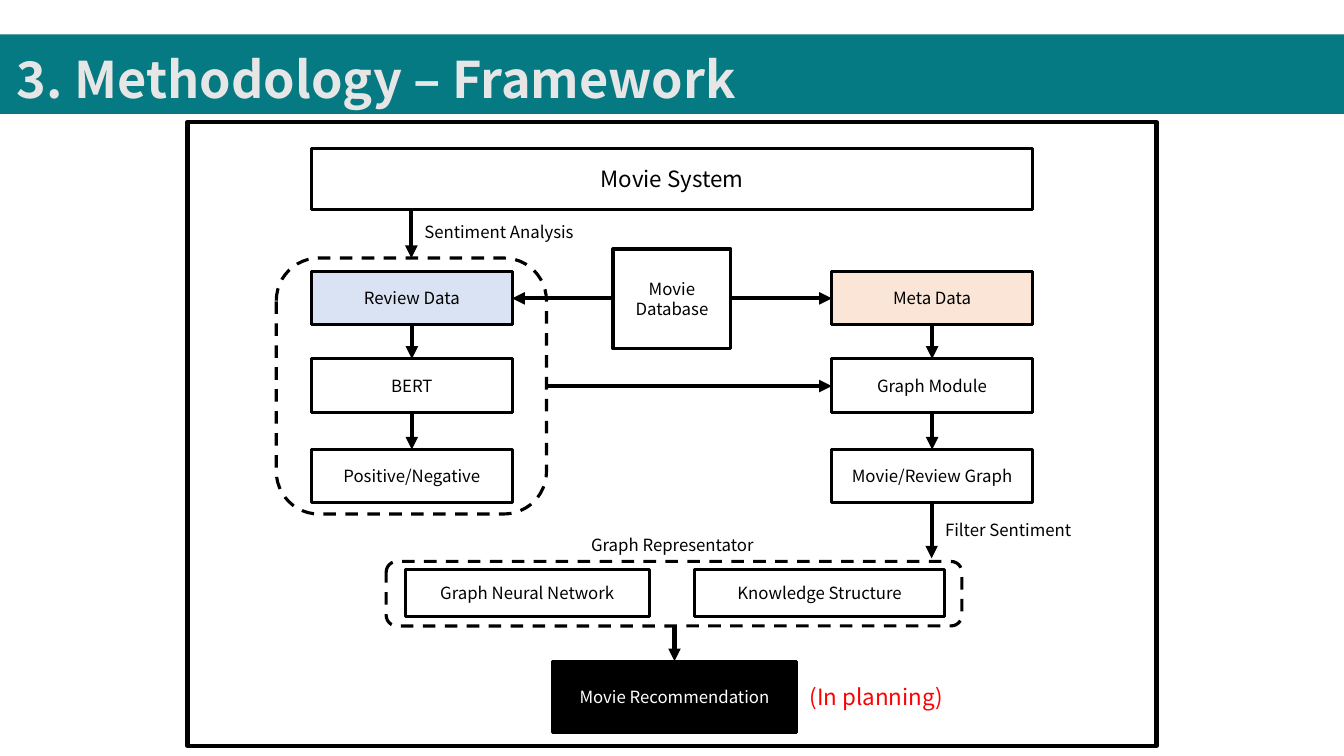
from dataclasses import dataclass

from lxml.etree import SubElement
from pptx import Presentation
from pptx.dml.color import RGBColor
from pptx.enum.dml import MSO_LINE
from pptx.enum.shapes import MSO_CONNECTOR, MSO_SHAPE
from pptx.enum.text import MSO_ANCHOR, PP_ALIGN
from pptx.oxml.ns import qn
from pptx.util import Inches, Pt


@dataclass(frozen=True)
class Theme:
    font: str = "Noto Sans CJK KR"
    teal: str = "067A82"
    title: str = "E7E6E6"
    black: str = "000000"
    white: str = "FFFFFF"
    blue: str = "DAE3F3"
    peach: str = "FBE5D6"
    red: str = "FF0000"
    title_size: int = 36
    large_size: int = 16
    body_size: int = 12
    box_line: float = 2.25
    thick_line: float = 3


theme = Theme()


def add_box(bounds, fill=None, line=theme.black, width=theme.box_line,
            preset=MSO_SHAPE.RECTANGLE):
    box = page.shapes.add_shape(preset, *map(Inches, bounds))
    box.shadow.inherit = False
    if fill:
        box.fill.solid()
        box.fill.fore_color.rgb = RGBColor.from_string(fill)
    else:
        box.fill.background()
    if line:
        box.line.color.rgb = RGBColor.from_string(line)
        box.line.width = Pt(width)
    else:
        box.line.fill.background()
    return box


def write_text(box, text, size=theme.body_size, color=theme.black,
               align=PP_ALIGN.CENTER, anchor=MSO_ANCHOR.MIDDLE):
    box.text_frame.word_wrap = True
    box.text_frame.vertical_anchor = anchor
    para = box.text_frame.paragraphs[0]
    para.alignment = align
    span = para.add_run()
    span.text = text
    span.font.name = theme.font
    span.font.size = Pt(size)
    span.font.color.rgb = RGBColor.from_string(color)
    return para


deck = Presentation()
deck.slide_width = Inches(13.33)
deck.slide_height = Inches(7.5)
page = deck.slides.add_slide(deck.slide_layouts[6])

add_box((0, 0.34, 13.33, 0.79), theme.teal, None)
title_box = page.shapes.add_textbox(Inches(0.07), Inches(0.17), Inches(13.27), Inches(0.92))
title = write_text(title_box, "3. Methodology – Framework", theme.title_size,
                   theme.title, PP_ALIGN.LEFT)
title.line_spacing = 1.5
title.runs[0].font.bold = True

add_box((1.86, 1.21, 9.61, 6.19), width=theme.thick_line)
for group in [(2.74, 2.56, 2.68, 2.54), (3.83, 5.57, 5.71, 0.64)]:
    outline = add_box(group, preset=MSO_SHAPE.ROUNDED_RECTANGLE)
    outline.line.dash_style = MSO_LINE.DASH

review_left, meta_left = 3.09, 8.25
step_width, step_height = 1.99, 0.53
step_tops = [2.69, 3.56, 4.46]
columns = [
    (review_left, theme.blue, ["Review Data", "BERT", "Positive/Negative"]),
    (meta_left, theme.peach, ["Meta Data", "Graph Module", "Movie/Review Graph"]),
]
arrows = []
for left, first_fill, labels in columns:
    middle = left + step_width / 2
    for top, label, fill in zip(step_tops, labels, [first_fill, None, None]):
        write_text(add_box((left, top, step_width, step_height), fill), label)
    for top, next_top in zip(step_tops, step_tops[1:]):
        arrows.append((middle, top + step_height, middle, next_top))

blocks = [
    ("Movie System", (3.09, 1.47, 7.15, 0.61), None, theme.large_size, theme.black),
    ("Movie Database", (6.08, 2.47, 1.17, 0.99), None, theme.body_size, theme.black),
    ("Graph Neural Network", (4.02, 5.65, 2.42, 0.47), None, theme.body_size, theme.black),
    ("Knowledge Structure", (6.89, 5.65, 2.48, 0.47), None, theme.body_size, theme.black),
    ("Movie Recommendation", (5.48, 6.56, 2.42, 0.71), theme.black, theme.body_size, theme.white),
]
for label, bounds, fill, size, color in blocks:
    write_text(add_box(bounds, fill), label, size, color)

arrows += [
    (4.08, 2.08, 4.08, 2.56),
    (6.08, 2.96, 5.08, 2.96),
    (7.25, 2.96, 8.25, 2.96),
    (5.42, 3.83, 8.25, 3.83),
    (9.24, 4.99, 9.24, 5.54),
    (6.69, 6.21, 6.69, 6.56),
]
for ends in arrows:
    arrow = page.shapes.add_connector(MSO_CONNECTOR.STRAIGHT, *map(Inches, ends))
    arrow.line.color.rgb = RGBColor.from_string(theme.black)
    arrow.line.width = Pt(theme.thick_line)
    SubElement(arrow.line._get_or_add_ln(), qn("a:tailEnd"), type="triangle")
    SubElement(arrow._element.spPr, qn("a:effectLst"))

captions = [
    ("Sentiment Analysis", (4.03, 2.15, 1.84, 0.3), theme.body_size, theme.black),
    ("Graph Representator", (5.4, 5.26, 2.54, 0.27), theme.body_size, theme.black),
    ("Filter Sentiment", (8.94, 5.11, 2.12, 0.3), theme.body_size, theme.black),
    ("(In planning)", (7.89, 6.73, 1.6, 0.37), theme.large_size, theme.red),
]
for label, bounds, size, color in captions:
    caption = page.shapes.add_textbox(*map(Inches, bounds))
    write_text(caption, label, size, color, anchor=MSO_ANCHOR.TOP)

deck.save("out.pptx")
